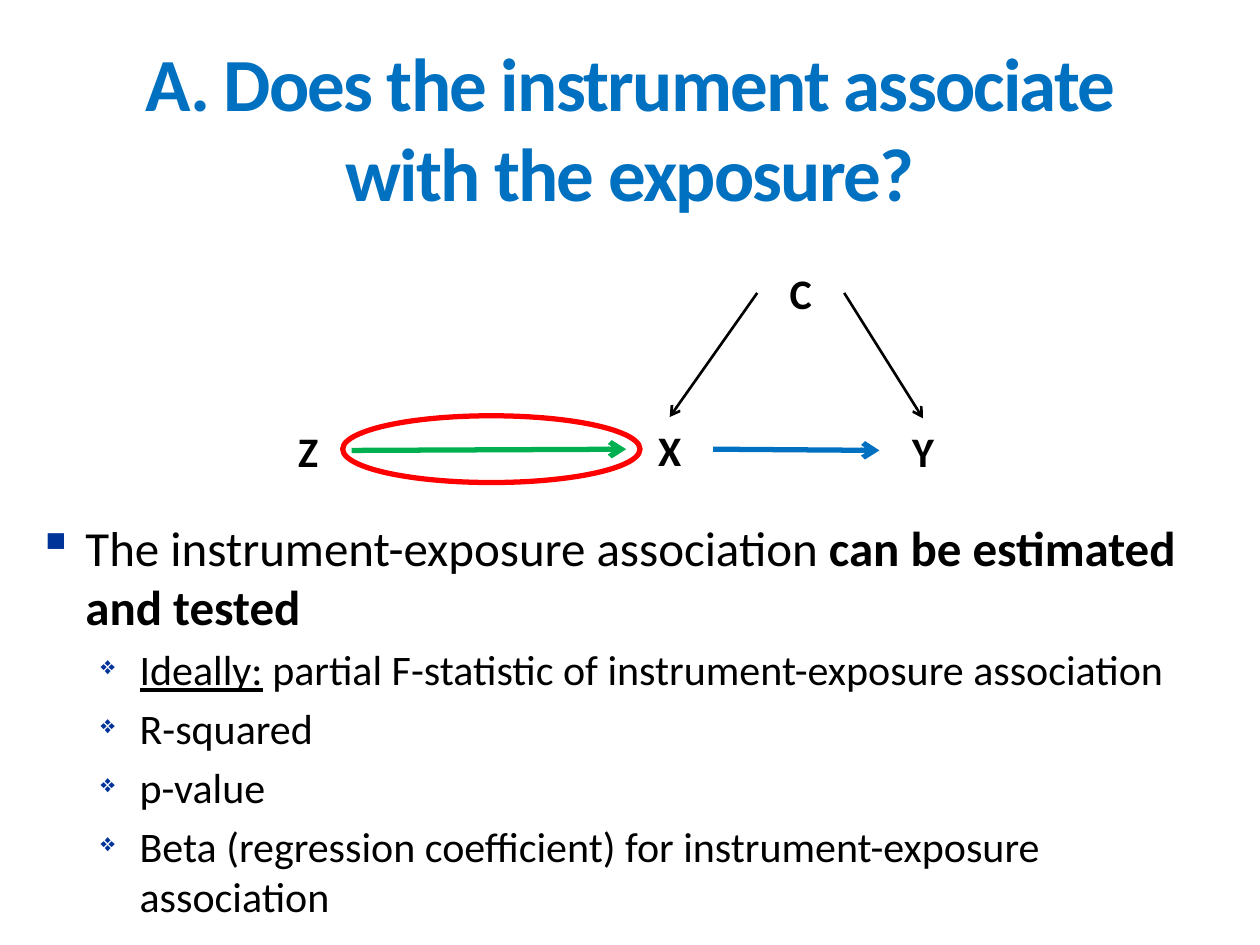
import pptx
import pptx.util
import pptx.dml.color
import pptx.enum.shapes
import pptx.enum.text
import pptx.oxml.ns
import lxml.etree

THEME = {
    "font": "Calibri",
    "title": "0070C0", "text": "000000", "bullet": "003399", "paper": "FFFFFF",
    "instrument": "00B050", "effect": "0070C0", "highlight": "FF0000",
    "title_size": 42.9, "body_size": 28, "detail_size": 24, "label_size": 24,
}

presentation = pptx.Presentation()
presentation.slide_width = pptx.util.Inches(10)
presentation.slide_height = pptx.util.Inches(7.5)
slide = presentation.slides.add_slide(presentation.slide_layouts[6])

# Grid of 100 columns by 75 rows
column = presentation.slide_width // 100
row = presentation.slide_height // 75


def grid_box(left, top, width, height):
    return [round(length) for length in (left * column, top * row, width * column, height * row)]


def add_run(paragraph, text, size, color, bold=False, underline=None):
    run = paragraph.add_run()
    run.text = text
    run.font.name = THEME["font"]
    run.font.size = pptx.util.Pt(size)
    run.font.bold = bold
    run.font.underline = underline
    run.font.color.rgb = pptx.dml.color.RGBColor.from_string(THEME[color])
    return run


# Title
title = slide.shapes.add_textbox(*grid_box(5, 2.1, 90, 15.9))
title.text_frame.word_wrap = True
title.text_frame.vertical_anchor = pptx.enum.text.MSO_ANCHOR.MIDDLE
paragraph = title.text_frame.paragraphs[0]
paragraph.alignment = pptx.enum.text.PP_ALIGN.CENTER
run = add_run(paragraph, "A. Does the instrument associate with the exposure?",
              THEME["title_size"], "title", bold=True)
run.font._element.set("spc", "-100")

# Diagram nodes
nodes = {}
for name, left, top in [("C", 60.1, 20.7), ("X", 49.7, 33.1), ("Y", 69.8, 33.2), ("Z", 21, 33.2)]:
    node = slide.shapes.add_shape(pptx.enum.shapes.MSO_SHAPE.RECTANGLE,
                                  *grid_box(left, top, 6.9, 5.1))
    node.shadow.inherit = False
    node.fill.background()
    node.line.color.rgb = pptx.dml.color.RGBColor.from_string(THEME["paper"])
    node.line.width = pptx.util.Pt(0.75)
    node.text_frame.vertical_anchor = pptx.enum.text.MSO_ANCHOR.MIDDLE
    paragraph = node.text_frame.paragraphs[0]
    paragraph.alignment = pptx.enum.text.PP_ALIGN.CENTER
    add_run(paragraph, name, THEME["label_size"], "text", bold=True)
    nodes[name] = node

# Arrows glued to the sides of the nodes
TOP, LEFT, RIGHT = 0, 1, 3
arrows = [
    ("C", LEFT, "X", TOP, "text", 1.5),
    ("C", RIGHT, "Y", TOP, "text", 1.5),
    ("X", RIGHT, "Y", LEFT, "effect", 3),
    ("Z", RIGHT, "X", LEFT, "instrument", 3),
]
for cause, cause_side, outcome, outcome_side, color, width in arrows:
    arrow = slide.shapes.add_connector(pptx.enum.shapes.MSO_CONNECTOR.STRAIGHT, 0, 0, 0, 0)
    arrow.begin_connect(nodes[cause], cause_side)
    arrow.end_connect(nodes[outcome], outcome_side)
    arrow.line.color.rgb = pptx.dml.color.RGBColor.from_string(THEME[color])
    arrow.line.width = pptx.util.Pt(width)
    line = arrow.line._get_or_add_ln()
    lxml.etree.SubElement(line, pptx.oxml.ns.qn("a:tailEnd"), type="arrow")
    lxml.etree.SubElement(arrow._element.spPr, pptx.oxml.ns.qn("a:effectLst"))

# Bulleted text: level, then runs of text, bold, underline
points = [
    (0, [("The instrument-exposure association ", False, None),
         ("can be estimated and tested", True, None)]),
    (1, [("Ideally:", False, True),
         (" partial F-statistic of instrument-exposure association", False, None)]),
    (1, [("R-squared", False, None)]),
    (1, [("p-value", False, None)]),
    (1, [("Beta (regression coefficient) for instrument-exposure association", False, None)]),
]
# Per level: type size, left margin and hanging indent in columns, bullet, bullet size in percent
levels = [
    (THEME["body_size"], 3.8, 3.8, "▪", 100),
    (THEME["detail_size"], 8.1, 3.1, "❖", 60),
]
body = slide.shapes.add_textbox(*grid_box(2, 40.6, 94.8, 52.8))
body.text_frame.word_wrap = True
for index, (level, runs) in enumerate(points):
    size, margin, hanging, bullet, bullet_percent = levels[level]
    paragraph = body.text_frame.paragraphs[0] if index == 0 else body.text_frame.add_paragraph()
    paragraph.level = level
    paragraph.space_before = pptx.util.Pt(0.2 * size)
    properties = paragraph._p.get_or_add_pPr()
    properties.set("marL", str(round(margin * column)))
    properties.set("indent", str(round(-hanging * column)))
    bullet_color = lxml.etree.SubElement(properties, pptx.oxml.ns.qn("a:buClr"))
    lxml.etree.SubElement(bullet_color, pptx.oxml.ns.qn("a:srgbClr"), val=THEME["bullet"])
    lxml.etree.SubElement(properties, pptx.oxml.ns.qn("a:buSzPct"), val=str(bullet_percent * 1000))
    lxml.etree.SubElement(properties, pptx.oxml.ns.qn("a:buChar"), char=bullet)
    for text, bold, underline in runs:
        add_run(paragraph, text, size, "text", bold, underline)

# Ring around the instrument-exposure arrow
ring = slide.shapes.add_shape(pptx.enum.shapes.MSO_SHAPE.OVAL, *grid_box(27.2, 33, 23.6, 5.3))
ring.shadow.inherit = False
ring.fill.background()
ring.line.color.rgb = pptx.dml.color.RGBColor.from_string(THEME["highlight"])
ring.line.width = pptx.util.Pt(3)

presentation.save("out.pptx")
